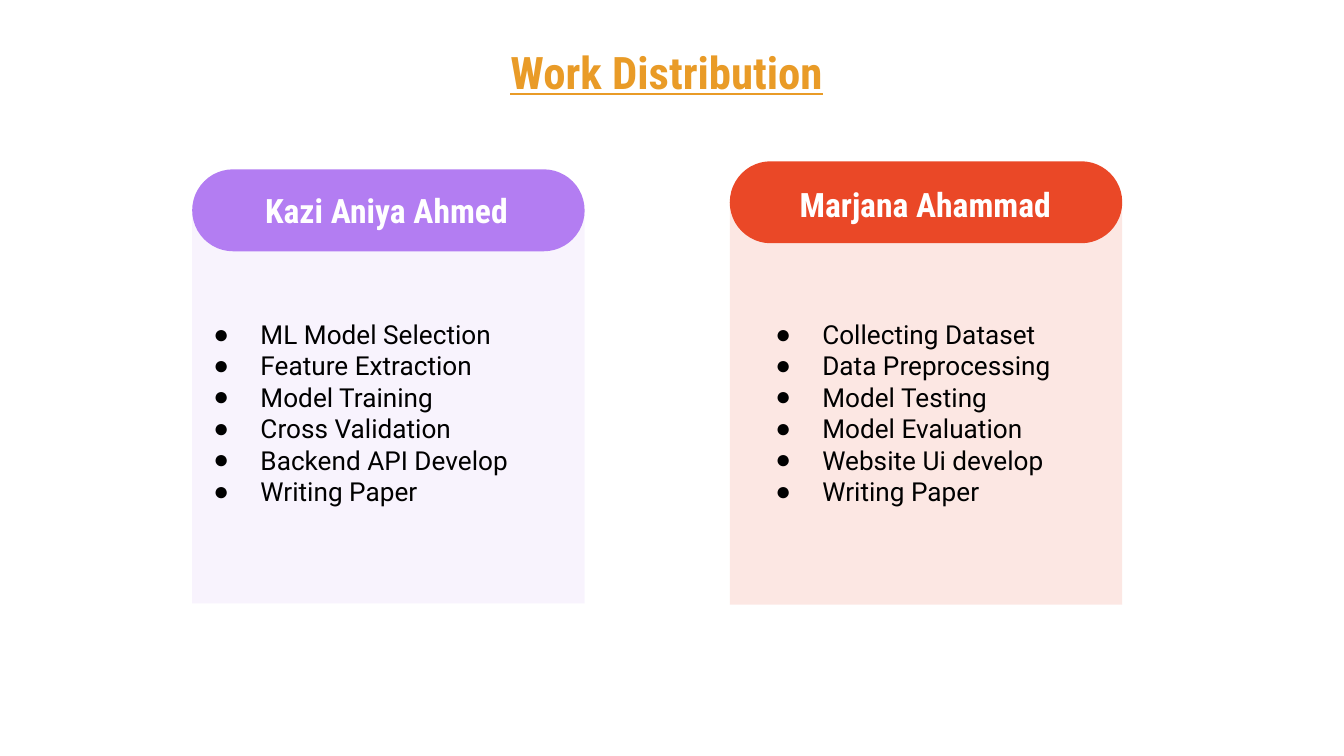
from dataclasses import dataclass

from lxml import etree
from pptx import Presentation
from pptx.dml.color import RGBColor
from pptx.enum.shapes import MSO_SHAPE
from pptx.enum.text import MSO_ANCHOR, PP_ALIGN
from pptx.oxml.ns import qn
from pptx.util import Inches, Pt

RECTANGLE = MSO_SHAPE.RECTANGLE
ROUNDED = MSO_SHAPE.ROUNDED_RECTANGLE
CENTER, LEFT = PP_ALIGN.CENTER, PP_ALIGN.LEFT
MIDDLE, TOP = MSO_ANCHOR.MIDDLE, MSO_ANCHOR.TOP

ORANGE = RGBColor(0xE9, 0x9B, 0x27)
PURPLE = RGBColor(0xB3, 0x7D, 0xF2)
LILAC = RGBColor(0xCC, 0xA9, 0xF7)
RED = RGBColor(0xEA, 0x48, 0x27)
WHITE = RGBColor(0xFF, 0xFF, 0xFF)
BLACK = RGBColor(0x00, 0x00, 0x00)

TITLE_FONT = {"name": "Roboto Condensed", "size": Pt(24), "bold": True, "underline": True}
NAME_FONT = {"name": "Roboto Condensed", "size": Pt(18), "bold": True}
TASK_FONT = {"name": "Roboto", "size": Pt(14)}
BULLET_FONT = "Arial"

SLIDE_WIDTH = 10
SLIDE_HEIGHT = SLIDE_WIDTH * 9 / 16
CARD_WIDTH = 2.92
PILL_HEIGHT = 0.61
BODY_OPACITY = 13
TASK_INDENT = Inches(0.35)


@dataclass(frozen=True)
class Box:
    left: float
    top: float
    width: float
    height: float

    def lengths(self) -> list:
        return [Inches(value) for value in (self.left, self.top, self.width, self.height)]


@dataclass(frozen=True)
class Member:
    name: str
    tasks: tuple
    pill_color: RGBColor
    body_color: RGBColor
    body: Box
    pill_top: float
    name_box: Box
    task_box: Box


MEMBERS = (
    Member(
        "Kazi Aniya Ahmed",
        ("ML Model Selection", "Feature Extraction", "Model Training",
         "Cross Validation", "Backend API Develop", "Writing Paper"),
        PURPLE, LILAC, Box(1.43, 1.58, CARD_WIDTH, 2.91), 1.26,
        Box(1.65, 1.38, 2.45, 0.36), Box(1.49, 2.27, 2.73, 1.24),
    ),
    Member(
        "Marjana Ahammad",
        ("Collecting Dataset", "Data Preprocessing", "Model Testing",
         "Model Evaluation", "Website Ui develop", "Writing Paper"),
        RED, RED, Box(5.43, 1.5, CARD_WIDTH, 3), 1.2,
        Box(5.66, 1.34, 2.45, 0.36), Box(5.67, 2.27, 2.45, 1.24),
    ),
)


def add_panel(slide, kind, box: Box, color: RGBColor):
    shape = slide.shapes.add_shape(kind, *box.lengths())
    shape.shadow.inherit = False
    shape.fill.solid()
    shape.fill.fore_color.rgb = color
    shape.line.fill.background()
    return shape


def set_opacity(shape, percent: int) -> None:
    color = shape.element.spPr.find(qn("a:solidFill"))[0]
    etree.SubElement(color, qn("a:alpha"), val=str(percent * 1000))


def add_bullet(paragraph) -> None:
    properties = paragraph._p.get_or_add_pPr()
    properties.set("marL", str(TASK_INDENT))
    properties.set("indent", str(-TASK_INDENT))
    color = etree.SubElement(properties, qn("a:buClr"))
    etree.SubElement(color, qn("a:srgbClr"), val=str(BLACK))
    etree.SubElement(properties, qn("a:buFont"), typeface=BULLET_FONT)
    etree.SubElement(properties, qn("a:buChar"), char="●")


def add_text(slide, box: Box, lines: tuple, font: dict, color: RGBColor,
             bulleted: bool = False) -> None:
    frame = slide.shapes.add_textbox(*box.lengths()).text_frame
    frame.word_wrap = True
    frame.vertical_anchor = TOP if bulleted else MIDDLE
    for side in ("left", "top", "right", "bottom"):
        setattr(frame, f"margin_{side}", Inches(0.1))
    for index, line in enumerate(lines):
        paragraph = frame.add_paragraph() if index else frame.paragraphs[0]
        paragraph.alignment = LEFT if bulleted else CENTER
        if bulleted:
            add_bullet(paragraph)
        run = paragraph.add_run()
        run.text = line
        for attribute, value in font.items():
            setattr(run.font, attribute, value)
        run.font.color.rgb = color


def add_member(slide, member: Member) -> None:
    body = add_panel(slide, RECTANGLE, member.body, member.body_color)
    set_opacity(body, BODY_OPACITY)
    pill_box = Box(member.body.left, member.pill_top, CARD_WIDTH, PILL_HEIGHT)
    pill = add_panel(slide, ROUNDED, pill_box, member.pill_color)
    pill.adjustments[0] = 0.5
    add_text(slide, member.name_box, (member.name,), NAME_FONT, WHITE)
    add_text(slide, member.task_box, member.tasks, TASK_FONT, BLACK, bulleted=True)


def main() -> None:
    presentation = Presentation()
    presentation.slide_width = Inches(SLIDE_WIDTH)
    presentation.slide_height = Inches(SLIDE_HEIGHT)
    slide = presentation.slides.add_slide(presentation.slide_layouts[6])
    add_text(slide, Box(0.46, 0.33, 9, 0.41), ("Work Distribution",), TITLE_FONT, ORANGE)
    for member in MEMBERS:
        add_member(slide, member)
    presentation.save("out.pptx")


if __name__ == "__main__":
    main()
